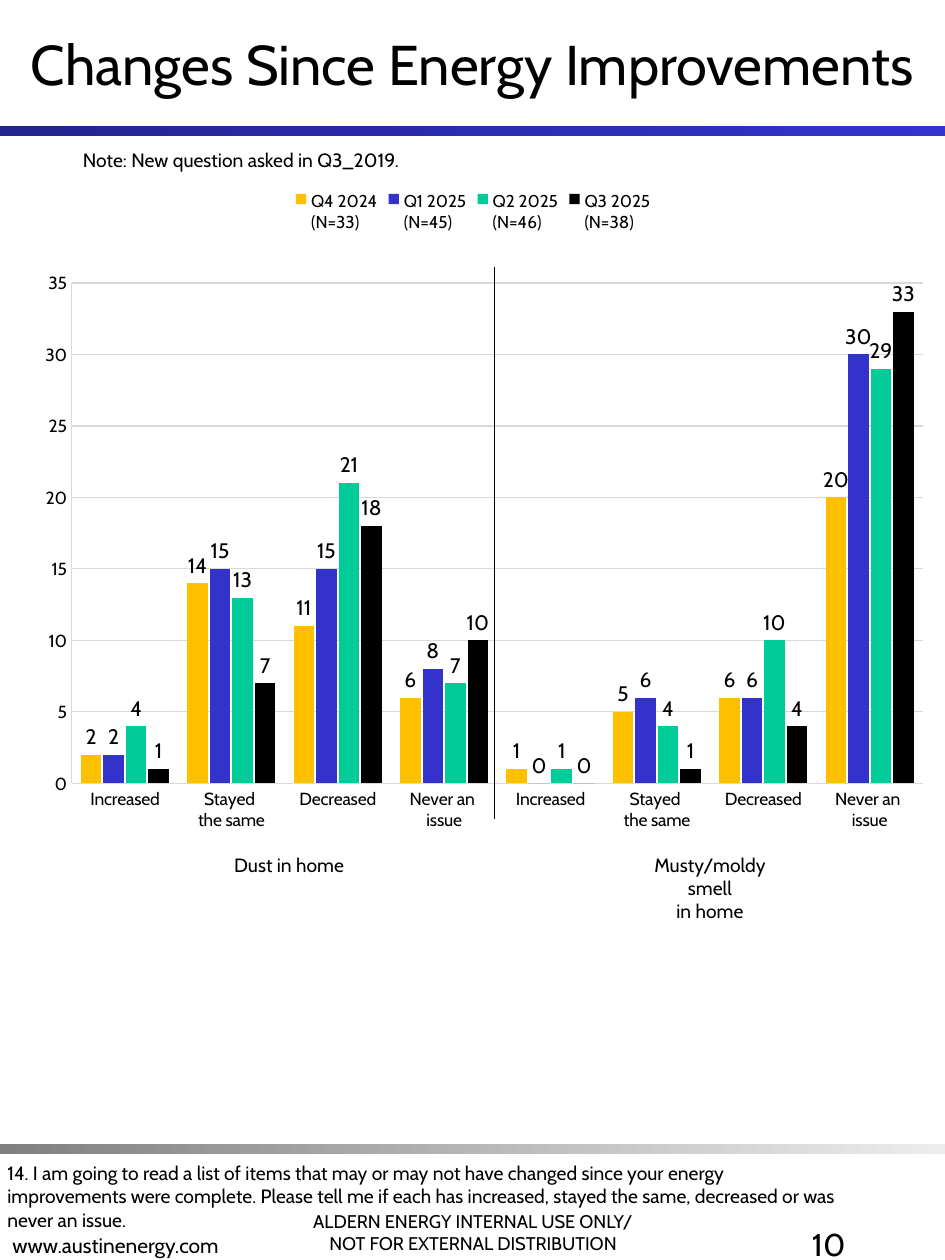
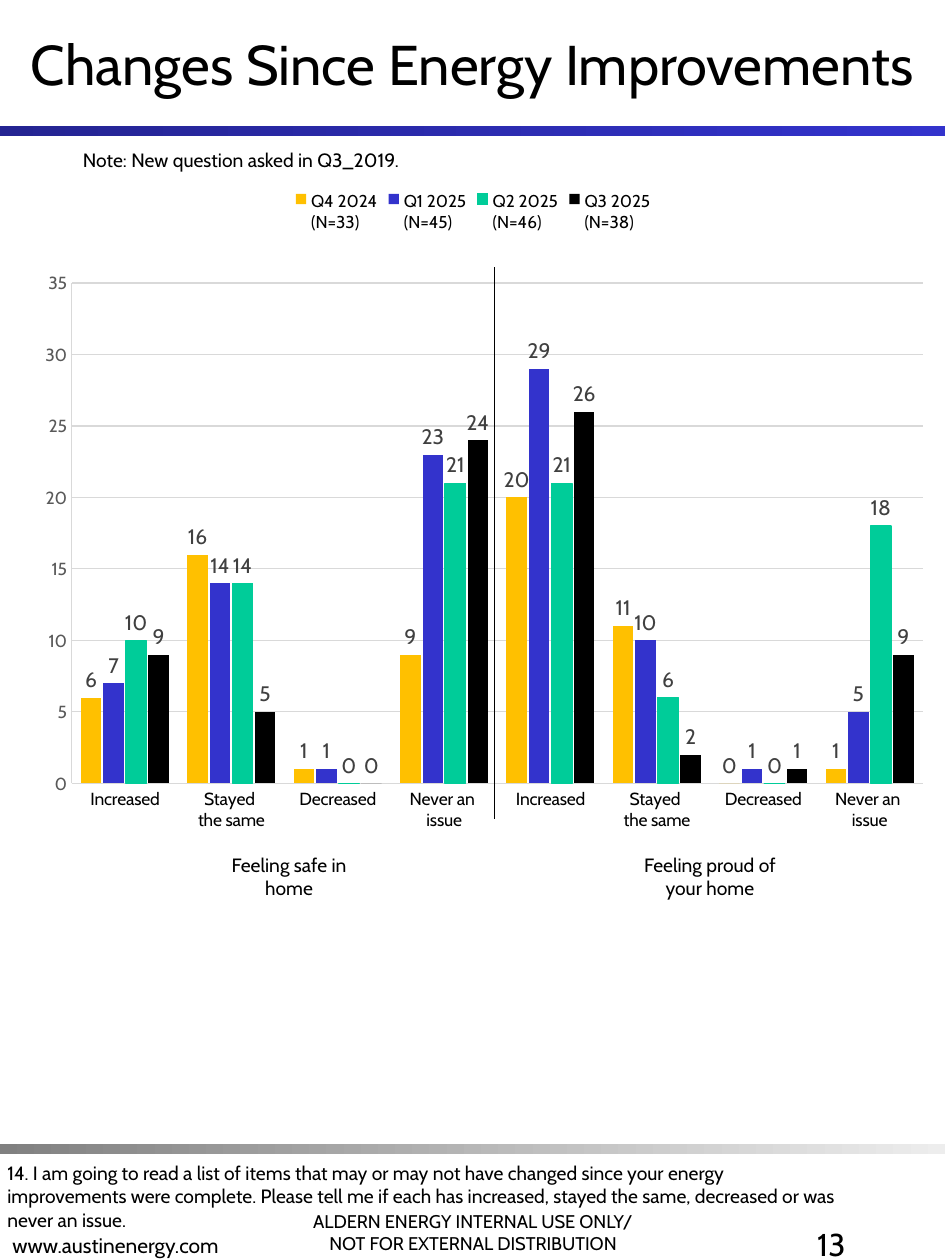
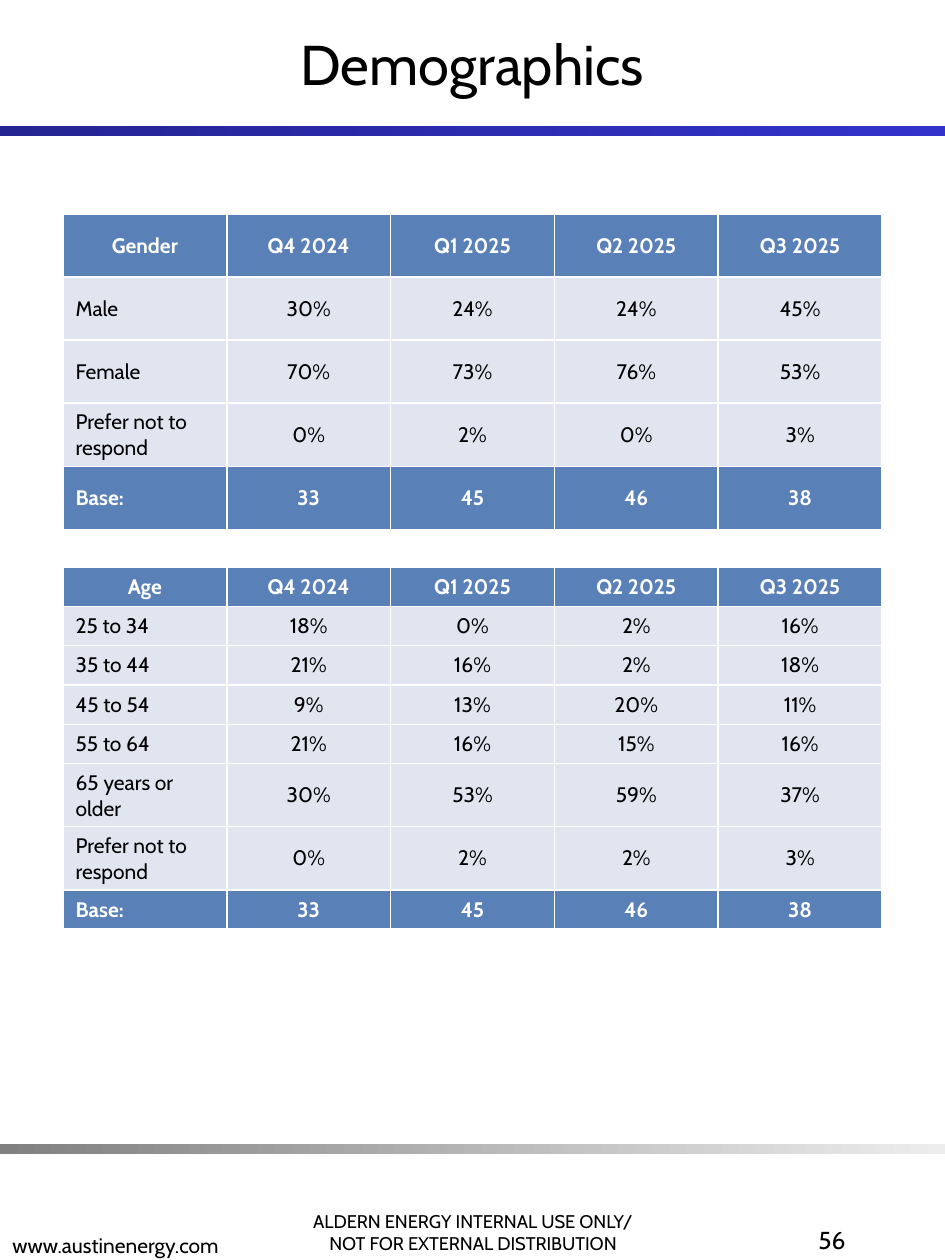
from lxml import etree
from pptx import Presentation
from pptx.chart.data import CategoryChartData
from pptx.dml.color import RGBColor
from pptx.enum.chart import XL_CHART_TYPE, XL_LABEL_POSITION, XL_LEGEND_POSITION, XL_TICK_MARK
from pptx.enum.shapes import MSO_CONNECTOR, MSO_SHAPE
from pptx.enum.text import MSO_ANCHOR, PP_ALIGN
from pptx.oxml import parse_xml
from pptx.oxml.ns import nsdecls, qn
from pptx.util import Inches, Pt

FONT = "Cabin"
BLACK = RGBColor(0x00, 0x00, 0x00)
WHITE = RGBColor(0xFF, 0xFF, 0xFF)
NAVY = RGBColor(0x24, 0x24, 0x92)
BLUE = RGBColor(0x33, 0x33, 0xCC)
GOLD = RGBColor(0xFF, 0xC0, 0x00)
TEAL = RGBColor(0x00, 0xCC, 0x99)
GRAY = RGBColor(0x80, 0x80, 0x80)
PALE_GRAY = RGBColor(0xED, 0xED, 0xED)
GRID_GRAY = RGBColor(0xD9, 0xD9, 0xD9)
AXIS_GRAY = RGBColor(0x59, 0x59, 0x59)
LABEL_GRAY = RGBColor(0x40, 0x40, 0x40)
HEADER_BLUE = RGBColor(0x5A, 0x80, 0xB8)
ROW_BLUE = RGBColor(0xE0, 0xE5, 0xF0)

QUARTERS = ["Q4 2024", "Q1 2025", "Q2 2025", "Q3 2025"]
BASES = [33, 45, 46, 38]
QUARTER_COLORS = [GOLD, BLUE, TEAL, BLACK]
ANSWERS = ["Increased", "Stayed \nthe same", "Decreased", "Never an \nissue"]
PLOT_LAYOUT = {"x": 0.069, "y": 0.143, "w": 0.914, "h": 0.671}
CHART_BOX = (0.06, 1.4, 7.39, 5.92)
CHANGES_TITLE = "Changes Since Energy Improvements"
NOTE = "Note: New question asked in Q3_2019."
QUESTION = (
    "14. I am going to read a list of items that may or may not have changed since your "
    "energy improvements were complete. Please tell me if each has increased, stayed the "
    "same, decreased or was never an issue."
)


def style_font(font, size, color=BLACK, bold=False):
    """Apply the deck font with a size, colour and weight."""
    font.name = FONT
    font.size = Pt(size)
    font.bold = bold
    font.color.rgb = color


def add_text(slide, box, text, size, align=PP_ALIGN.LEFT, anchor=MSO_ANCHOR.TOP, wrap=True):
    """Add a text box whose lines become paragraphs."""
    frame = slide.shapes.add_textbox(*map(Inches, box)).text_frame
    frame.word_wrap = wrap
    frame.vertical_anchor = anchor
    frame.text = text
    for paragraph in frame.paragraphs:
        paragraph.alignment = align
        for run in paragraph.runs:
            style_font(run.font, size)


def add_band(slide, top, start, end):
    """Add a full-width gradient band."""
    band = slide.shapes.add_shape(
        MSO_SHAPE.RECTANGLE, 0, Inches(top), Inches(7.5), Inches(0.08)
    )
    band.shadow.inherit = False
    band.line.fill.background()
    band.fill.gradient()
    band.fill.gradient_angle = 0
    for stop, color in zip(band.fill.gradient_stops, (start, end)):
        stop.color.rgb = color


def add_framed_slide(deck, title, page, page_size=18):
    """Add a blank slide with the title, bands and footers."""
    slide = deck.slides.add_slide(deck.slide_layouts[6])
    add_band(slide, 1, NAVY, BLUE)
    add_band(slide, 9.08, GRAY, PALE_GRAY)
    add_text(
        slide, (2.16, 9.33, 3.19, 0.67),
        "ALDERN ENERGY INTERNAL USE ONLY/\nNOT FOR EXTERNAL DISTRIBUTION",
        10.5, PP_ALIGN.CENTER, MSO_ANCHOR.BOTTOM,
    )
    add_text(slide, (0, 9.36, 3.19, 0.67), "www.austinenergy.com", 12, anchor=MSO_ANCHOR.BOTTOM)
    add_text(slide, (0, 0, 7.5, 1), title, 32, PP_ALIGN.CENTER, MSO_ANCHOR.MIDDLE)
    add_text(slide, (5.25, 9.67, 1.56, 0.67), str(page), page_size, PP_ALIGN.RIGHT)
    return slide


def style_line(line, color, width):
    """Give a line a solid colour and width."""
    line.color.rgb = color
    line.width = Pt(width)


def set_plot_layout(chart):
    """Fix the inner plot area inside the chart."""
    places = "".join(f'<c:{side}Mode val="edge"/>' for side in "xy")
    places += "".join(f'<c:{side} val="{share}"/>' for side, share in PLOT_LAYOUT.items())
    layout = parse_xml(
        f'<c:layout {nsdecls("c")}><c:manualLayout><c:layoutTarget val="inner"/>'
        f"{places}</c:manualLayout></c:layout>"
    )
    plot_area = chart.element.find(".//" + qn("c:plotArea"))
    for automatic in plot_area.findall(qn("c:layout")):
        plot_area.remove(automatic)
    plot_area.insert(0, layout)


def style_axes(chart, scale_color):
    """Format both axes and the gridlines."""
    answers, scale = chart.category_axis, chart.value_axis
    for axis, color, width in ((answers, BLACK, 0.62), (scale, scale_color, 0.41)):
        axis.major_tick_mark = axis.minor_tick_mark = XL_TICK_MARK.NONE
        style_font(axis.tick_labels.font, 10, color)
        style_line(axis.format.line, GRID_GRAY, width)
    scale.minimum_scale, scale.maximum_scale, scale.major_unit = 0, 35, 5
    style_line(scale.major_gridlines.format.line, GRID_GRAY, 0.62)


def add_answer_chart(slide, box, counts, scale_color, label_color, outlined):
    """Add the clustered columns of answers by quarter."""
    chart_data = CategoryChartData()
    chart_data.categories = ANSWERS * 2
    for quarter, base, values in zip(QUARTERS, BASES, counts):
        chart_data.add_series(f"{quarter}\n(N={base})", values)
    chart = slide.shapes.add_chart(
        XL_CHART_TYPE.COLUMN_CLUSTERED, *map(Inches, box), chart_data
    ).chart
    style_font(chart.font, 10)
    chart.has_title = False
    chart.has_legend = True
    chart.legend.position = XL_LEGEND_POSITION.TOP
    chart.legend.include_in_layout = False
    style_font(chart.legend.font, 9.8)
    style_axes(chart, scale_color)
    set_plot_layout(chart)
    columns = chart.plots[0]
    columns.vary_by_categories = False
    columns.gap_width = 90
    columns.overlap = -10
    for series, quarter, color in zip(columns.series, QUARTERS, QUARTER_COLORS):
        series.invert_if_negative = False
        series.format.fill.solid()
        series.format.fill.fore_color.rgb = color
        if quarter in outlined:
            style_line(series.format.line, color, 0.75)
        labels = series.data_labels
        labels.show_value = True
        labels.position = XL_LABEL_POSITION.OUTSIDE_END
        style_font(labels.font, 12, label_color)


def add_chart_panel(slide, box, topics, counts, scale_color, label_color, outlined):
    """Add the chart with its topic captions and the divider between them."""
    left, top = box[:2]
    add_answer_chart(slide, box, counts, scale_color, label_color, outlined)
    for topic, offset in zip(topics, (1.52, 4.86)):
        add_text(
            slide, (left + offset, top + 5.32, 1.43, 0.6), topic, 11, PP_ALIGN.CENTER, wrap=False
        )
    middle = Inches(left + 3.86)
    divider = slide.shapes.add_connector(
        MSO_CONNECTOR.STRAIGHT, middle, Inches(top + 0.72), middle, Inches(top + 5.1)
    )
    style_line(divider.line, BLACK, 0.25)
    etree.SubElement(divider.element.spPr, qn("a:effectLst"))


def add_changes_slide(deck, page, topics, counts, scale_color, label_color, outlined=()):
    """Add a slide comparing two topics across the quarters."""
    slide = add_framed_slide(deck, CHANGES_TITLE, page)
    add_text(slide, (0.56, 1.13, 6.44, 0.29), NOTE, 11)
    add_text(slide, (-0.04, 9.17, 6.85, 0.66), QUESTION, 11)
    add_chart_panel(slide, CHART_BOX, topics, counts, scale_color, label_color, outlined)


def add_share_table(slide, box, topic, shares):
    """Add a table of percentages between a header and a base row."""
    rows = [[topic, *QUARTERS]]
    rows += [[group, *(f"{share}%" for share in values)] for group, values in shares.items()]
    rows.append(["Base:", *map(str, BASES)])
    table = slide.shapes.add_table(len(rows), len(rows[0]), *map(Inches, box)).table
    table.horz_banding = False
    for row_index, row in enumerate(rows):
        strong = row_index in (0, len(rows) - 1)
        for column_index, text in enumerate(row):
            cell = table.cell(row_index, column_index)
            cell.fill.solid()
            cell.fill.fore_color.rgb = HEADER_BLUE if strong else ROW_BLUE
            cell.vertical_anchor = MSO_ANCHOR.MIDDLE
            cell.text_frame.text = text
            paragraph = cell.text_frame.paragraphs[0]
            is_group = column_index == 0 and row_index > 0
            paragraph.alignment = PP_ALIGN.LEFT if is_group else PP_ALIGN.CENTER
            style_font(paragraph.runs[0].font, 12, WHITE if strong else BLACK, strong)


def add_demographics_slide(deck, page):
    """Add the slide with the gender and age tables."""
    slide = add_framed_slide(deck, "Demographics", page, page_size=14)
    add_share_table(slide, (0.5, 1.7, 6.5, 2.5), "Gender", {
        "Male": (30, 24, 24, 45),
        "Female": (70, 73, 76, 53),
        "Prefer not to respond": (0, 2, 0, 3),
    })
    add_share_table(slide, (0.5, 4.5, 6.5, 2.5), "Age", {
        "25 to 34": (18, 0, 2, 16),
        "35 to 44": (21, 16, 2, 18),
        "45 to 54": (9, 13, 20, 11),
        "55 to 64": (21, 16, 15, 16),
        "65 years or older": (30, 53, 59, 37),
        "Prefer not to respond": (0, 2, 2, 3),
    })


def main():
    """Build the deck and save it."""
    deck = Presentation()
    deck.slide_width, deck.slide_height = Inches(7.5), Inches(10)
    add_changes_slide(
        deck, 10, ("Dust in home", "Musty/moldy smell\nin home"),
        [
            (2, 14, 11, 6, 1, 5, 6, 20),
            (2, 15, 15, 8, 0, 6, 6, 30),
            (4, 13, 21, 7, 1, 4, 10, 29),
            (1, 7, 18, 10, 0, 1, 4, 33),
        ],
        BLACK, BLACK,
    )
    add_changes_slide(
        deck, 13, ("Feeling safe in home", "Feeling proud of\nyour home"),
        [
            (6, 16, 1, 9, 20, 11, 0, 1),
            (7, 14, 1, 23, 29, 10, 1, 5),
            (10, 14, 0, 21, 21, 6, 0, 18),
            (9, 5, 0, 24, 26, 2, 1, 9),
        ],
        AXIS_GRAY, LABEL_GRAY, outlined=("Q2 2025",),
    )
    add_demographics_slide(deck, 56)
    deck.save("out.pptx")


if __name__ == "__main__":
    main()
